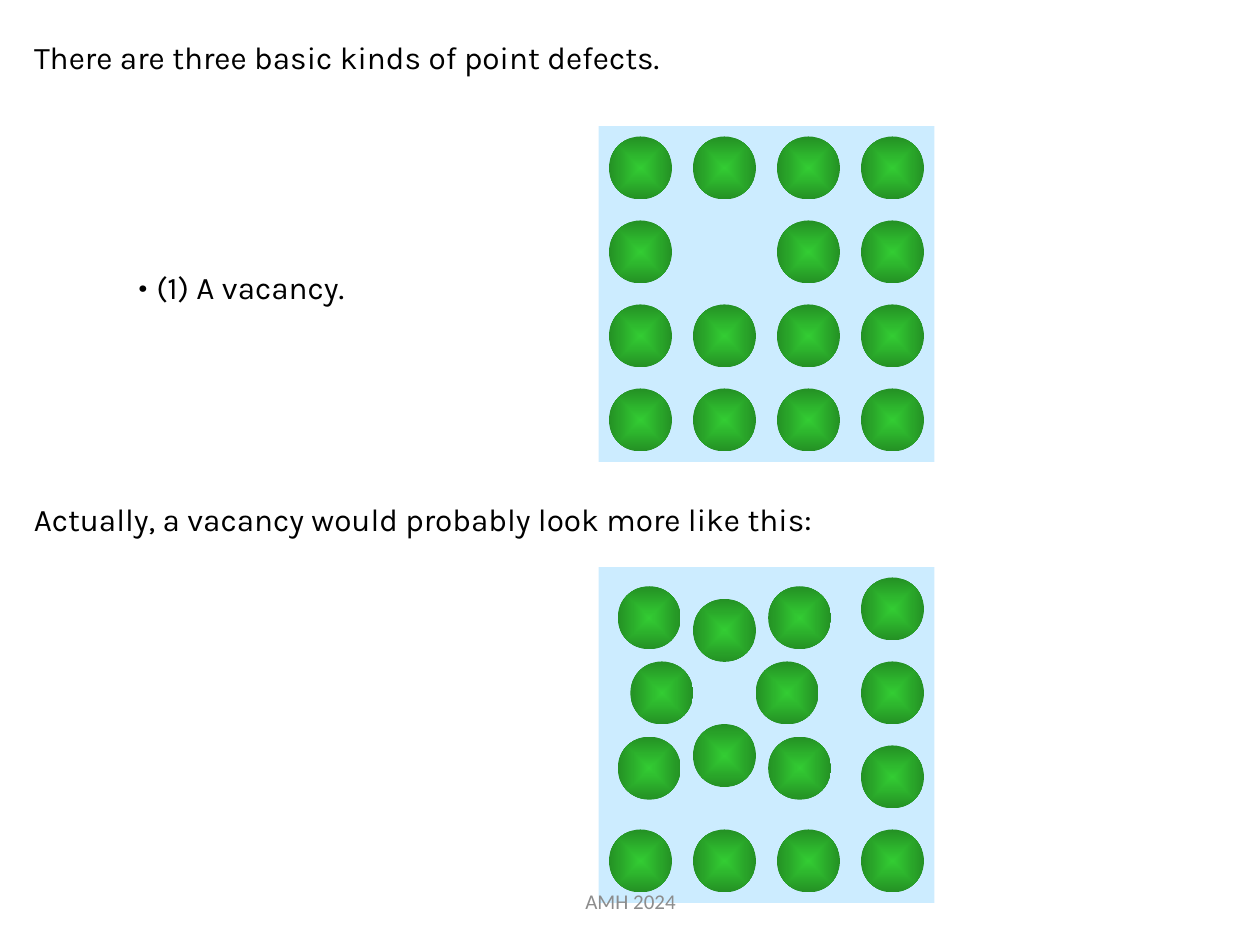
"""Build the slide on vacancies as point defects."""
from dataclasses import dataclass
from itertools import product

from lxml import etree
from pptx import Presentation
from pptx import util as u
from pptx.dml.color import RGBColor
from pptx.enum import shapes, text
from pptx.oxml import ns, parse_xml

BLACK = RGBColor(0x00, 0x00, 0x00)
GREY = RGBColor(0x8C, 0x8C, 0x8C)
SKY = RGBColor(0xCC, 0xEC, 0xFF)
GREEN = RGBColor(0x33, 0xCC, 0x33)

SIDE = 8 / 3
COUNT = 4
PITCH = SIDE / COUNT
ATOM = 0.5
HOLE = (1, 1)
NEAR, DIAG = 0.17, 0.07


@dataclass
class Grid:
    left: float
    top: float
    relaxed: bool


@dataclass
class Line:
    words: str
    left: float
    top: float
    width: float
    height: float = 0.5
    font: str = "Karla"
    size: int = 18
    color: RGBColor = BLACK
    align: text.PP_ALIGN = text.PP_ALIGN.LEFT
    anchor: text.MSO_ANCHOR = text.MSO_ANCHOR.TOP
    grow: bool = True
    bullet: bool = False


GRIDS = [Grid(4.75, 1, False), Grid(4.75, 4.5, True)]
TITLE = Line("There are three basic kinds of point defects.", 0.17, 0.25, 9.67)
BODY = Line("(1) A vacancy.", 1, 2.08, 3.08, bullet=True)
NOTE = Line("Actually, a vacancy would probably look more like this:", 0.17, 3.92, 9.67)
FOOT = Line("AMH 2024", 3.42, 6.95, 3.17, 0.4, "Calibri", 12, GREY,
            text.PP_ALIGN.CENTER, text.MSO_ANCHOR.MIDDLE, grow=False)


def set_bullet(para) -> None:
    props = para._p.get_or_add_pPr()
    indent = u.Inches(0.14)
    props.set("marL", str(indent))
    props.set("indent", str(-indent))
    font = etree.SubElement(props, ns.qn("a:buFont"))
    font.set("typeface", "Karla")
    etree.SubElement(props, ns.qn("a:buChar")).set("char", "•")


def write(box, line: Line) -> None:
    box.left, box.top = u.Inches(line.left), u.Inches(line.top)
    box.width, box.height = u.Inches(line.width), u.Inches(line.height)
    frame = box.text_frame
    frame.text = line.words
    frame.word_wrap = True
    frame.vertical_anchor = line.anchor
    size = text.MSO_AUTO_SIZE
    frame.auto_size = size.SHAPE_TO_FIT_TEXT if line.grow else size.NONE
    para = frame.paragraphs[0]
    if line.bullet:
        set_bullet(para)
    para.alignment = line.align
    para.space_before = u.Pt(0)
    font = para.runs[0].font
    font.name, font.size = line.font, u.Pt(line.size)
    font.color.rgb = line.color


def add_box(slide, line: Line) -> None:
    write(slide.shapes.add_textbox(0, 0, 0, 0), line)


def add_cell(slide, grid: Grid) -> None:
    cell = slide.shapes.add_shape(
        shapes.MSO_SHAPE.RECTANGLE, u.Inches(grid.left), u.Inches(grid.top),
        u.Inches(SIDE), u.Inches(SIDE))
    cell.shadow.inherit = False
    cell.fill.solid()
    cell.fill.fore_color.rgb = SKY
    cell.line.fill.background()


def add_atom(group, left: float, top: float) -> None:
    atom = group.shapes.add_shape(
        shapes.MSO_SHAPE.OVAL, u.Inches(left), u.Inches(top),
        u.Inches(ATOM), u.Inches(ATOM))
    atom.shadow.inherit = False
    atom.line.fill.background()
    fill = parse_xml(
        f'<a:gradFill {ns.nsdecls("a")} rotWithShape="0"><a:gsLst>'
        f'<a:gs pos="0"><a:srgbClr val="{GREEN}"/></a:gs>'
        f'<a:gs pos="100000"><a:srgbClr val="{GREEN}">'
        '<a:shade val="46275"/></a:srgbClr></a:gs></a:gsLst>'
        '<a:path path="shape"><a:fillToRect l="50000" t="50000" '
        'r="50000" b="50000"/></a:path></a:gradFill>')
    atom._element.spPr.find(ns.qn("a:prstGeom")).addnext(fill)


def add_atoms(slide, grid: Grid) -> None:
    group = slide.shapes.add_group_shape()
    pad = (PITCH - ATOM) / 2
    for row, col in product(range(COUNT), repeat=2):
        dx, dy = col - HOLE[0], row - HOLE[1]
        if (dx, dy) == (0, 0):
            continue
        pull = 0
        if grid.relaxed and max(abs(dx), abs(dy)) == 1:
            pull = DIAG if dx and dy else NEAR
        add_atom(group, grid.left + pad + col * PITCH - dx * pull,
                 grid.top + pad + row * PITCH - dy * pull)


def main() -> None:
    deck = Presentation()
    deck.slide_width, deck.slide_height = u.Inches(10), u.Inches(7.5)
    slide = deck.slides.add_slide(deck.slide_layouts[1])
    write(slide.shapes.title, TITLE)
    write(slide.placeholders[1], BODY)
    for grid in GRIDS:
        add_cell(slide, grid)
        add_atoms(slide, grid)
    for line in (NOTE, FOOT):
        add_box(slide, line)
    deck.save("out.pptx")


if __name__ == "__main__":
    main()
